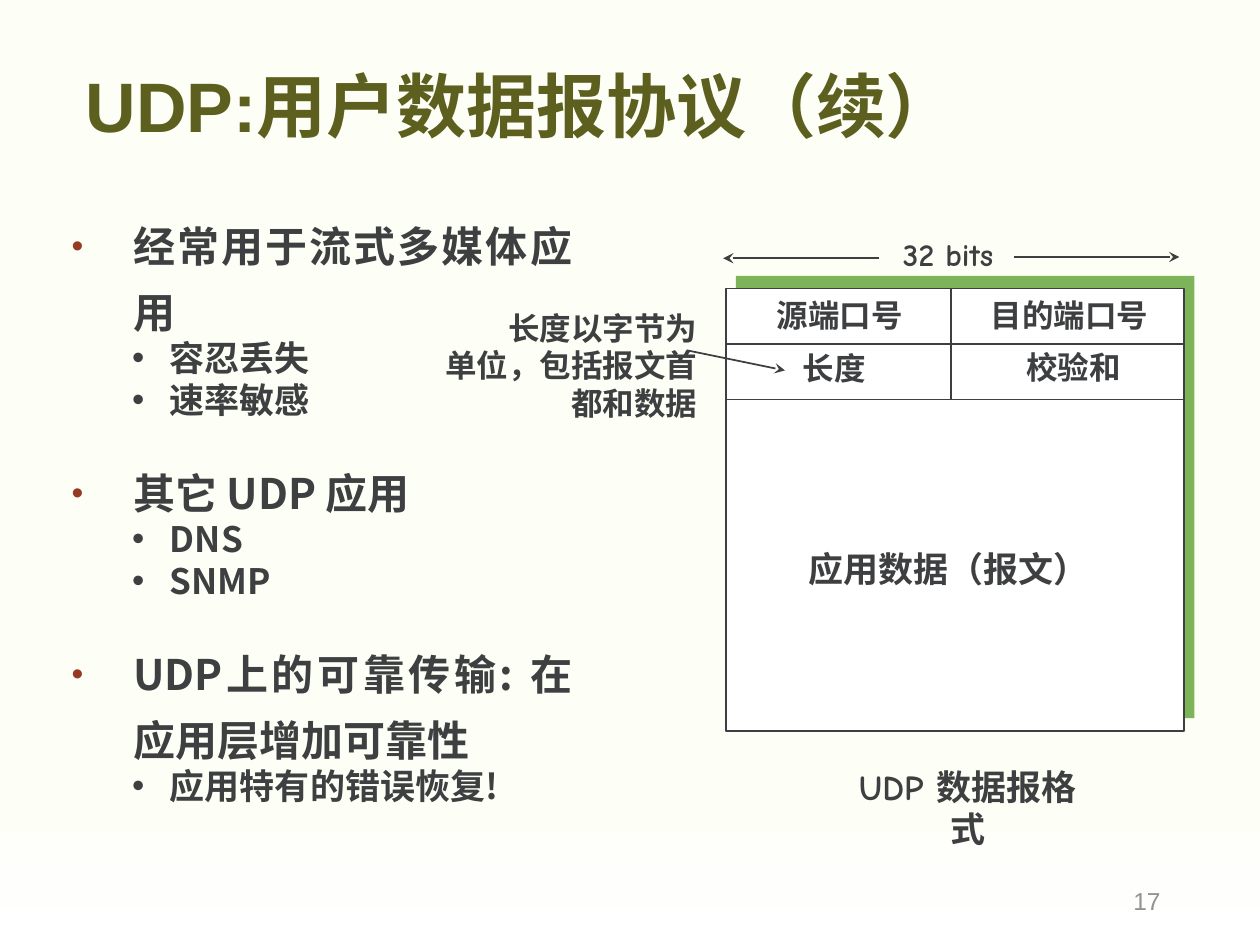
from pptx import Presentation
from pptx.dml.color import RGBColor
from pptx.enum.shapes import MSO_CONNECTOR, MSO_SHAPE
from pptx.enum.text import MSO_ANCHOR, PP_ALIGN
from pptx.oxml.ns import qn
from pptx.util import Inches, Pt
from lxml import etree

LEFT, CENTER, RIGHT, JUSTIFY = PP_ALIGN.LEFT, PP_ALIGN.CENTER, PP_ALIGN.RIGHT, PP_ALIGN.JUSTIFY
MIDDLE = MSO_ANCHOR.MIDDLE
STRAIGHT, RECT = MSO_CONNECTOR.STRAIGHT, MSO_SHAPE.RECTANGLE

IVORY = RGBColor(0xFD, 0xFF, 0xF7)
WHITE = RGBColor(0xFF, 0xFF, 0xFF)
OLIVE = RGBColor(0x5D, 0x5F, 0x1F)
INK = RGBColor(0x3D, 0x3F, 0x41)
RUST = RGBColor(0x96, 0x3B, 0x22)
GREEN = RGBColor(0x7D, 0xB3, 0x59)
GRAY = RGBColor(0x91, 0x92, 0x93)
CJK, COMIC, ARIAL = "Noto Sans CJK SC", "Comic Neue", "Arial"


def write(p, text, size=18, font=COMIC, color=INK, bold=True, align=CENTER, spacing=None):
    """Write one formatted run, with the CJK font for East Asian letters."""
    p.alignment = align
    p.line_spacing = spacing or Pt(size * 1.2)
    r = p.add_run()
    r.text = text
    r.font.size, r.font.name, r.font.bold = Pt(size), font, bold
    r.font.color.rgb = color
    etree.SubElement(r._r.get_or_add_rPr(), qn("a:ea"), typeface=CJK)


def add_line(x1, y1, x2, y2, arrow=False):
    line = slide.shapes.add_connector(STRAIGHT, *map(Inches, (x1, y1, x2, y2)))
    line.line.color.rgb = INK
    line.line.width = Pt(1)
    if arrow:
        etree.SubElement(line.line._get_or_add_ln(), qn("a:tailEnd"), type="stealth")
    etree.SubElement(line._element.spPr, qn("a:effectLst"))


prs = Presentation()
prs.slide_width, prs.slide_height = Inches(10), Inches(7.5)
slide = prs.slides.add_slide(prs.slide_layouts[5])

# Background fading to white at the bottom
fill = slide.background.fill
fill.gradient()
fill.gradient_angle = 270
for stop, position, color in zip(fill.gradient_stops, (0.84, 1), (IVORY, WHITE)):
    stop.position = position
    stop.color.rgb = color

# Title
title = slide.shapes.title
title.left, title.top, title.width, title.height = map(Inches, (0.58, 0.25, 9.12, 1.25))
title.text_frame.vertical_anchor = MIDDLE
write(title.text_frame.paragraphs[0], "UDP:用户数据报协议（续）", size=40, font=ARIAL,
      color=OLIVE, align=LEFT, spacing=0.9)

# Bulleted list: level, text
items = [
    (0, "经常用于流式多媒体应用"),
    (1, "容忍丢失"),
    (1, "速率敏感"),
    (0, "其它 UDP 应用"),
    (1, "DNS"),
    (1, "SNMP"),
    (0, "UDP上的可靠传输: 在应用层增加可靠性"),
    (1, "应用特有的错误恢复!"),
]
tf = slide.shapes.add_textbox(*map(Inches, (0.47, 1.58, 4.17, 5.08))).text_frame
tf.word_wrap = True
for i, (level, text) in enumerate(items):
    p = tf.add_paragraph() if i else tf.paragraphs[0]
    p.level = level
    p.space_before = Pt(18 if i and level == 0 else 0)
    pPr = p._p.get_or_add_pPr()
    margin, indent = ((0.49, -0.49), (0.78, -0.3))[level]
    pPr.set("marL", str(Inches(margin)))
    pPr.set("indent", str(Inches(indent)))
    if level == 0:
        color = etree.SubElement(pPr, qn("a:buClr"))
        etree.SubElement(color, qn("a:srgbClr"), val=str(RUST))
        etree.SubElement(pPr, qn("a:buSzPct"), val="80000")
    etree.SubElement(pPr, qn("a:buFont"), typeface=ARIAL)
    etree.SubElement(pPr, qn("a:buChar"), char="•")
    write(p, text, size=(24, 20)[level], font=CJK, align=JUSTIFY,
          spacing=Pt((37.5, 24)[level]))

# Datagram frame over its green backing
X, Y, W, H = 5.76, 2.29, 3.64, 3.51
ROW, MID = 0.44, 7.55
for x, y, color in ((X + 0.08, Y - 0.1, GREEN), (X, Y, WHITE)):
    sp = slide.shapes.add_shape(RECT, *map(Inches, (x, y, W, H)))
    sp.shadow.inherit = False
    sp.fill.solid()
    sp.fill.fore_color.rgb = color
    sp.line.fill.background()
sp.line.color.rgb = INK
sp.line.width = Pt(1)

# Header rows and column divider
for row in (1, 2):
    bottom = Y + row * ROW
    add_line(X, bottom, X + W, bottom)
    add_line(MID, bottom, MID, bottom - ROW)

# Width arrows and the pointer from the note to the length field
add_line(8.05, 2.04, 9.36, 2.04, arrow=True)
add_line(6.98, 2.05, 5.74, 2.05, arrow=True)
add_line(5.45, 2.78, 6.23, 2.94, arrow=True)

# Labels: left, top, width, height, lines, wrap, format
labels = [
    (6.06, 2.3, 1.21, 0.4, ["源端口号"], False, {}),
    (7.76, 2.3, 1.46, 0.4, ["目的端口号"], False, {}),
    (6.27, 2.72, 0.7, 0.4, ["长度"], False, {}),
    (8.04, 2.71, 0.96, 0.4, ["校验和"], False, {}),
    (6.99, 1.82, 1.07, 0.4, ["32 bits"], False, {}),
    (6.31, 4.3, 2.44, 0.43, ["应用数据（报文）"], False, {"size": 20}),
    (6.63, 6.03, 2.1, 0.76, ["UDP 数据报格式"], True, {"size": 20}),
    (3.42, 2.4, 2.21, 1, ["长度以字节为", "单位，包括报文首都和数据"], True, {"align": RIGHT}),
    (7.06, 6.95, 2.25, 0.4, ["17"], True,
     {"size": 14, "font": ARIAL, "color": GRAY, "bold": False, "align": RIGHT}),
]
for left, top, width, height, lines, wrap, style in labels:
    tf = slide.shapes.add_textbox(*map(Inches, (left, top, width, height))).text_frame
    tf.word_wrap = wrap
    for i, text in enumerate(lines):
        write(tf.add_paragraph() if i else tf.paragraphs[0], text, **style)
tf.vertical_anchor = MIDDLE  # page number, the last label

prs.save("out.pptx")
